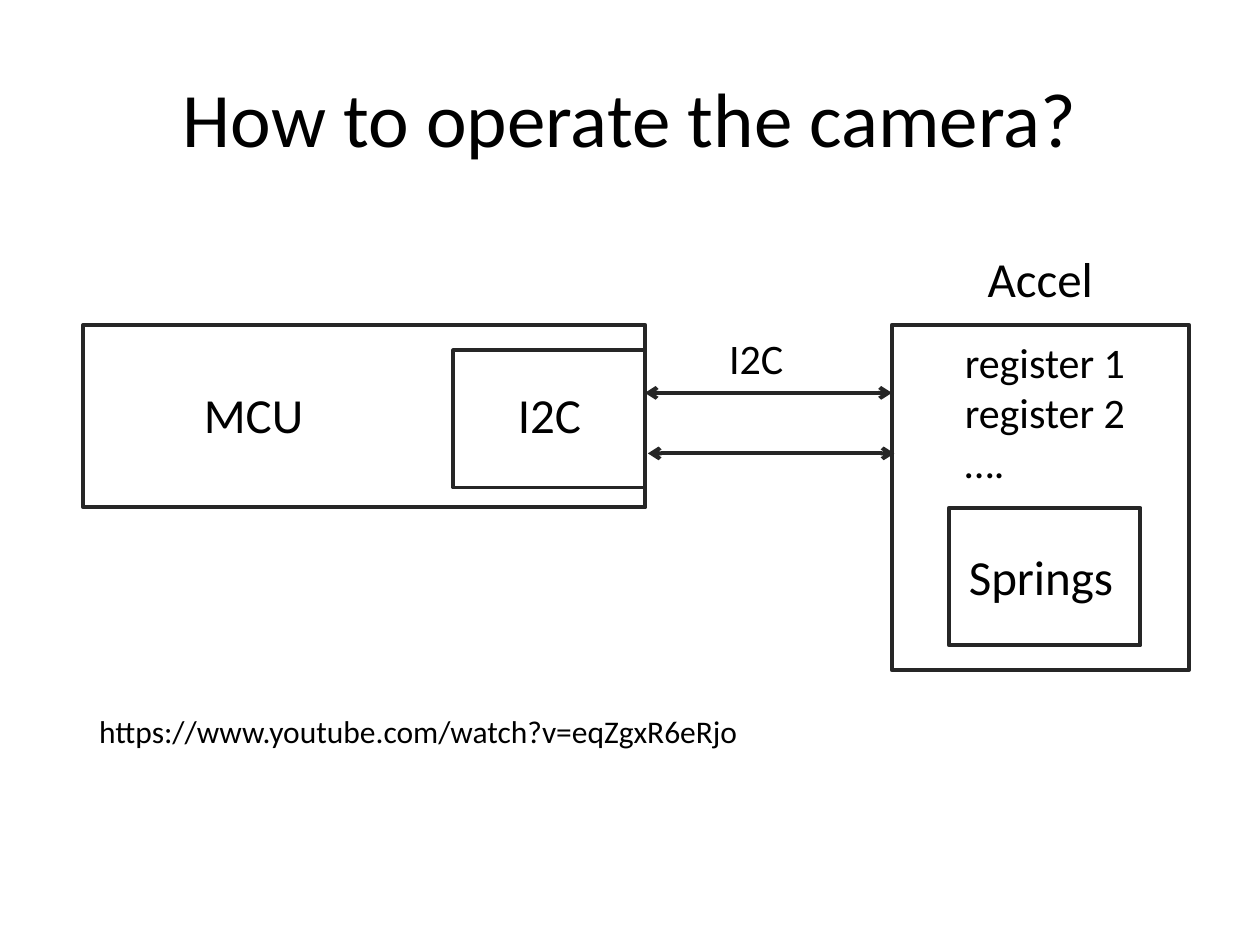
from dataclasses import dataclass

from lxml.etree import SubElement
from pptx import Presentation
from pptx.dml.color import RGBColor
from pptx.enum.shapes import MSO_CONNECTOR as Connector, MSO_SHAPE as Preset
from pptx.enum.text import MSO_ANCHOR as Anchor, PP_ALIGN as Align
from pptx.oxml.ns import qn
from pptx.slide import Slide
from pptx.util import Cm, Pt

INK = RGBColor(0x26, 0x26, 0x26)
BLACK = RGBColor(0, 0, 0)
FONT = "Calibri"
STROKE = Pt(2.25)


@dataclass(frozen=True)
class Block:
    left: float
    top: float
    width: float
    height: float


@dataclass(frozen=True)
class Label:
    text: str
    left: float
    top: float
    width: float
    height: float
    size: int = 28
    wrap: bool = False
    align: Align = Align.LEFT
    anchor: Anchor = Anchor.TOP


@dataclass(frozen=True)
class Wire:
    start: float
    end: float
    level: float


BLOCKS = [
    Block(1.68, 6.55, 11.33, 3.68),
    Block(17.98, 6.55, 5.99, 6.96),
    Block(9.14, 7.06, 3.86, 2.77),
    Block(19.13, 10.24, 3.86, 2.77),
]
WIRES = [Wire(13, 17.98, 7.92), Wire(13.06, 18.03, 9.14)]
LABELS = [
    Label("How to operate the camera?", 1.27, 0.76, 22.86, 3.18, 44, True,
          Align.CENTER, Anchor.MIDDLE),
    Label("MCU", 3.86, 7.62, 2.54, 1.45),
    Label("Accel", 19.66, 4.88, 2.67, 1.45),
    Label("I2C", 14.45, 6.58, 1.63, 1.27, 24),
    Label("I2C", 10.19, 7.62, 1.8, 1.45),
    Label("register 1\nregister 2\n….", 19.2, 6.65, 3.81, 3.33, 24),
    Label("Springs", 19.28, 10.9, 3.45, 1.45, wrap=True),
    Label("https://www.youtube.com/watch?v=eqZgxR6eRjo",
          1.75, 14.22, 14.02, 1.02, 18, True),
]


def draw_block(slide: Slide, block: Block) -> None:
    outline = slide.shapes.add_shape(
        Preset.RECTANGLE, Cm(block.left), Cm(block.top),
        Cm(block.width), Cm(block.height))
    outline.shadow.inherit = False
    outline.fill.background()
    outline.line.color.rgb = INK
    outline.line.width = STROKE


def draw_wire(slide: Slide, wire: Wire) -> None:
    arrow = slide.shapes.add_connector(
        Connector.STRAIGHT, Cm(wire.start), Cm(wire.level),
        Cm(wire.end), Cm(wire.level))
    arrow.line.color.rgb = INK
    arrow.line.width = STROKE
    stroke = arrow.line._get_or_add_ln()
    for tip in ("a:headEnd", "a:tailEnd"):
        SubElement(stroke, qn(tip), type="arrow")
    SubElement(arrow._element.spPr, qn("a:effectLst"))


def draw_label(slide: Slide, label: Label) -> None:
    frame = slide.shapes.add_textbox(
        Cm(label.left), Cm(label.top),
        Cm(label.width), Cm(label.height)).text_frame
    frame.text = label.text
    frame.word_wrap = label.wrap
    frame.vertical_anchor = label.anchor
    for paragraph in frame.paragraphs:
        paragraph.alignment = label.align
        for run in paragraph.runs:
            run.font.name = FONT
            run.font.size = Pt(label.size)
            run.font.color.rgb = BLACK


def main() -> None:
    deck = Presentation()
    deck.slide_width, deck.slide_height = Cm(25.4), Cm(19.05)
    slide = deck.slides.add_slide(deck.slide_layouts[6])
    for block in BLOCKS:
        draw_block(slide, block)
    for wire in WIRES:
        draw_wire(slide, wire)
    for label in LABELS:
        draw_label(slide, label)
    deck.save("out.pptx")


if __name__ == "__main__":
    main()
